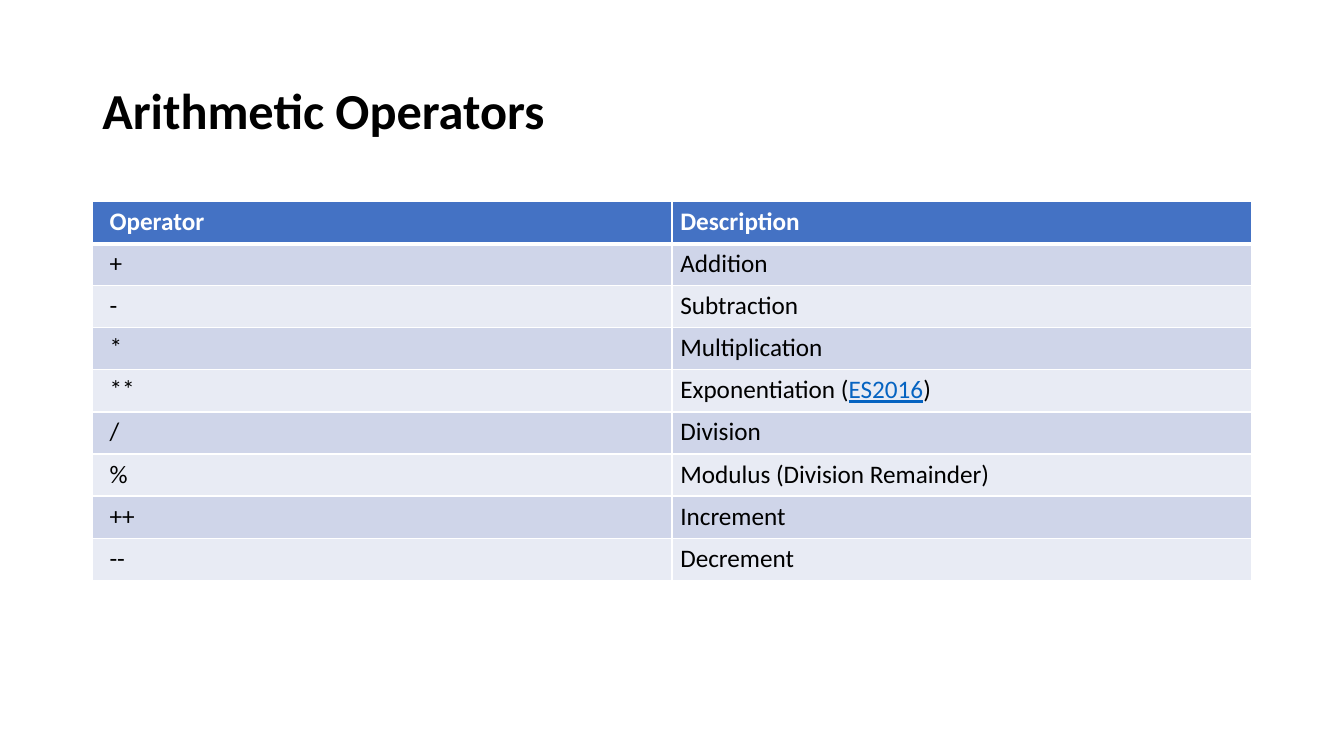
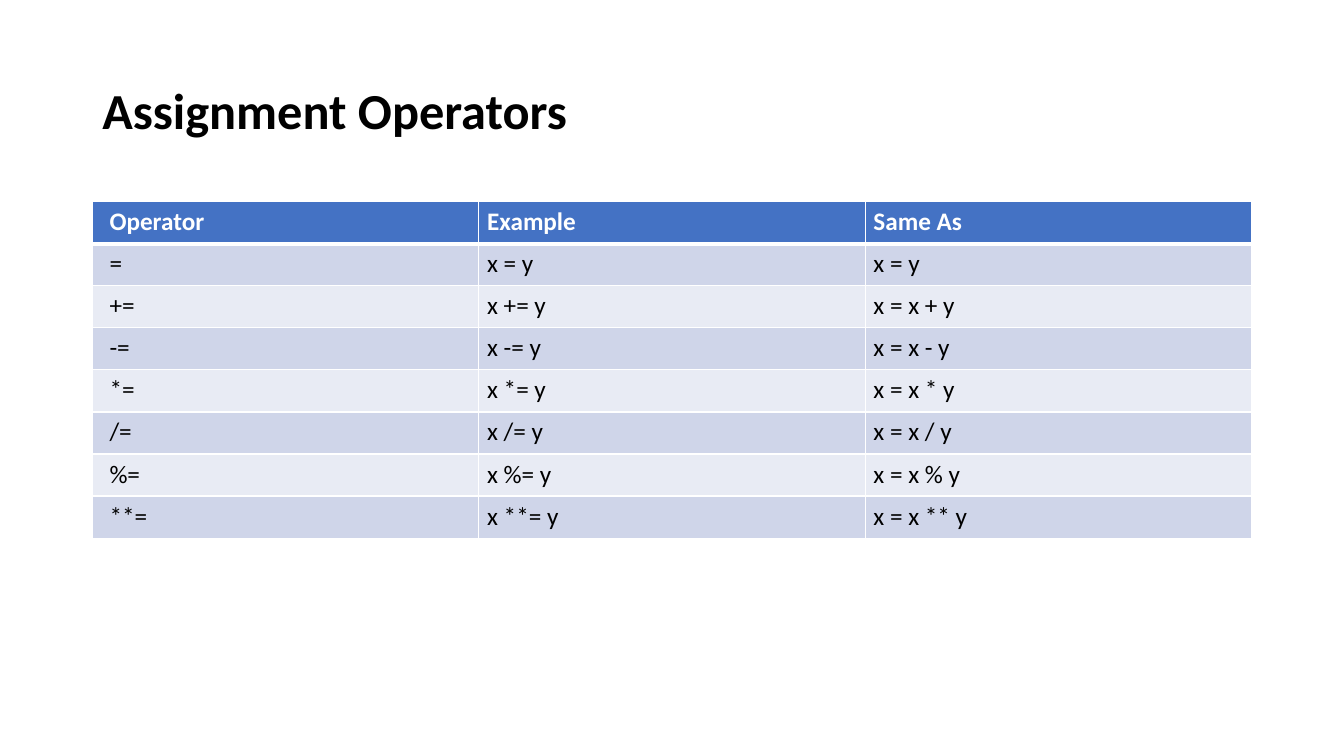
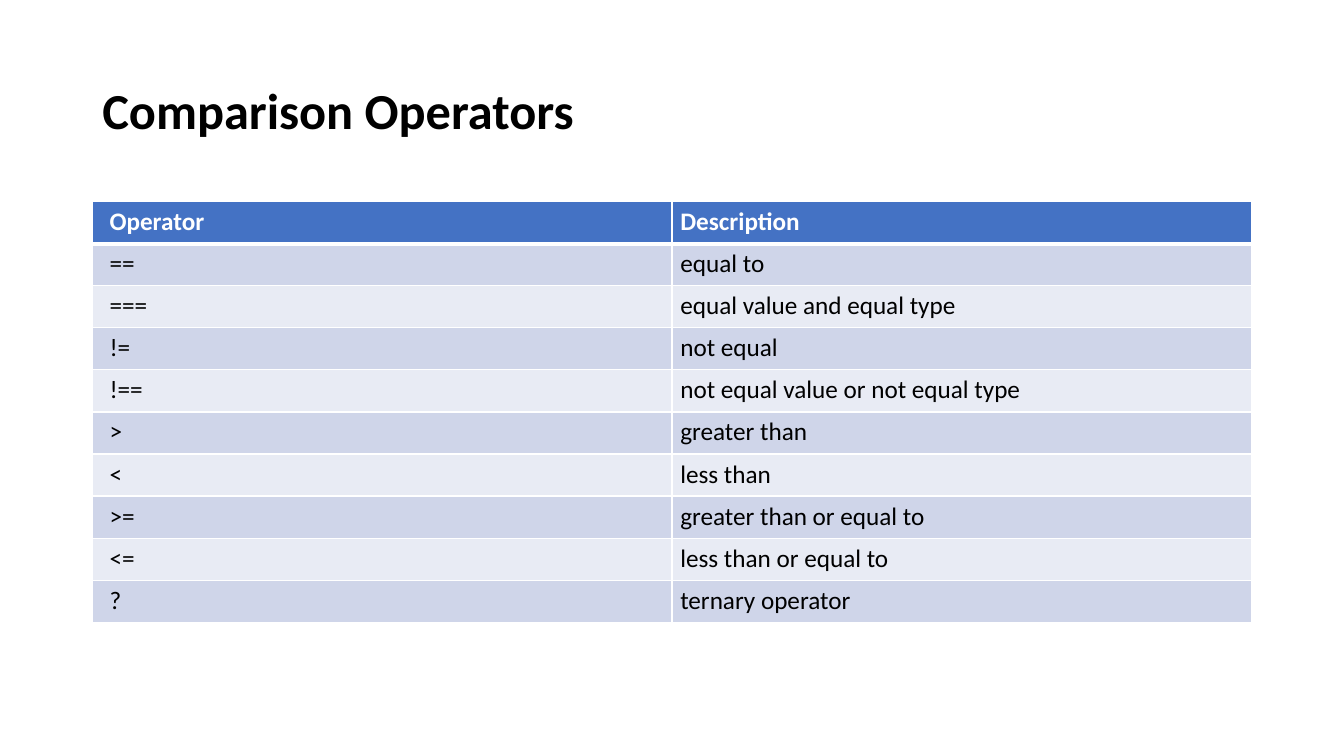
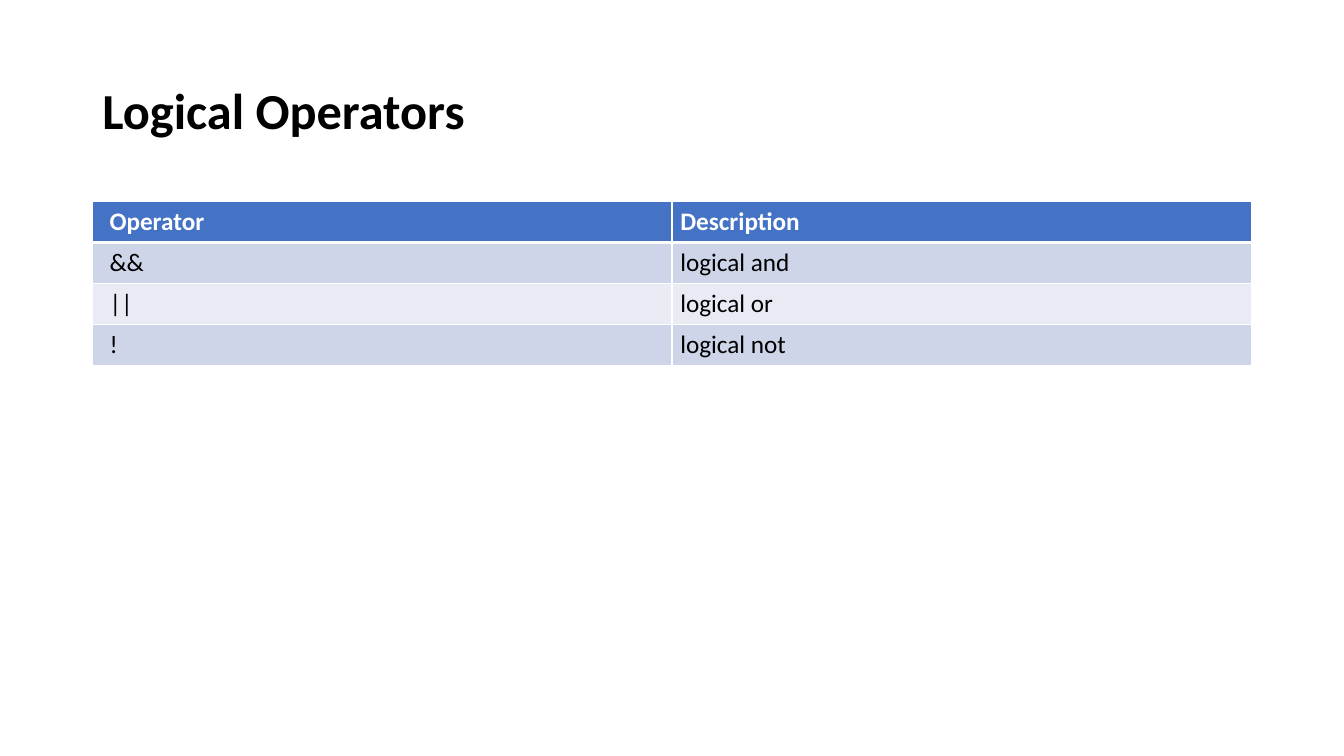
from lxml.etree import SubElement
from pptx import Presentation
from pptx.dml.color import RGBColor
from pptx.enum.text import MSO_ANCHOR
from pptx.oxml.ns import qn
from pptx.util import Cm, Pt

# Colours
BLACK = RGBColor(0x00, 0x00, 0x00)
WHITE = RGBColor(0xFF, 0xFF, 0xFF)
HEADER = RGBColor(0x44, 0x72, 0xC4)
BANDS = (RGBColor(0xE8, 0xEB, 0xF4), RGBColor(0xCF, 0xD5, 0xE9))
LINK = RGBColor(0x05, 0x63, 0xC1)

# Text formats
TITLE_TEXT = {"name": "Calibri", "size": Pt(36), "bold": True, "color": BLACK}
BODY_TEXT = {"name": "Calibri", "size": Pt(18), "bold": False, "color": BLACK}
HEADER_TEXT = {**BODY_TEXT, "bold": True, "color": WHITE}
LINK_TEXT = {"underline": True, "color": LINK}

# Shared grid
LEFT, WIDTH = Cm(2.33), Cm(29.21)
TITLE_TOP, TITLE_HEIGHT = Cm(1.01), Cm(3.68)
TABLE_TOP = Cm(5.08)
FIRST_INSET, INSET = Cm(0.43), Cm(0.21)
THIN, THICK = Pt(0.96), Pt(3)


class Deck:
    """Holds the shared style and the current slide."""

    def __init__(self):
        self.prs = Presentation()
        self.prs.slide_width, self.prs.slide_height = Cm(33.87), Cm(19.05)
        self.s = None

    def slide(self, title):
        self.s = self.prs.slides.add_slide(self.prs.slide_layouts[6])
        self.title(title)

    def run(self, p, text, fmt):
        r = p.add_run()
        r.text = text
        for key, value in fmt.items():
            if key == "color":
                r.font.color.rgb = value
            else:
                setattr(r.font, key, value)

    def title(self, text):
        tf = self.s.shapes.add_textbox(LEFT, TITLE_TOP, WIDTH, TITLE_HEIGHT).text_frame
        tf.word_wrap = True
        tf.vertical_anchor = MSO_ANCHOR.MIDDLE
        p = tf.paragraphs[0]
        p.line_spacing = 0.9
        self.run(p, text, TITLE_TEXT)

    def borders(self, cell, top, bottom):
        tcPr = cell._tc.get_or_add_tcPr()
        for side, width in (("L", THIN), ("R", THIN), ("T", top), ("B", bottom)):
            ln = SubElement(tcPr, qn(f"a:ln{side}"), w=str(int(width)))
            fill = SubElement(ln, qn("a:solidFill"))
            SubElement(fill, qn("a:srgbClr"), val=str(WHITE))

    def cell(self, cell, content, row, col):
        """Content is a string, or a list of (text, extra format) pairs."""
        self.borders(cell, THICK if row == 1 else THIN, THICK if row == 0 else THIN)
        cell.fill.solid()
        cell.fill.fore_color.rgb = BANDS[row % 2] if row else HEADER
        cell.margin_left = INSET if col else FIRST_INSET
        cell.margin_right = INSET
        runs = [(content, {})] if isinstance(content, str) else content
        base = BODY_TEXT if row else HEADER_TEXT
        for text, extra in runs:
            self.run(cell.text_frame.paragraphs[0], text, {**base, **extra})

    def table(self, rows, row_height):
        table = self.s.shapes.add_table(len(rows), len(rows[0]), LEFT, TABLE_TOP,
                                        WIDTH, row_height * len(rows)).table
        for i, row in enumerate(rows):
            for j, content in enumerate(row):
                self.cell(table.cell(i, j), content, i, j)


# Slide contents: title, row height, table rows
SLIDES = [
    ("Arithmetic Operators", Cm(1.06), [
        ("Operator", "Description"),
        ("+", "Addition"),
        ("-", "Subtraction"),
        ("*", "Multiplication"),
        ("**", [("Exponentiation (", {}), ("ES2016", LINK_TEXT), (")", {})]),
        ("/", "Division"),
        ("%", "Modulus (Division Remainder)"),
        ("++", "Increment"),
        ("--", "Decrement"),
    ]),
    ("Assignment Operators", Cm(1.06), [
        ("Operator", "Example", "Same As"),
        ("=", "x = y", "x = y"),
        *((f"{op}=", f"x {op}= y", f"x = x {op} y")
          for op in ("+", "-", "*", "/", "%", "**")),
    ]),
    ("Comparison Operators", Cm(1.06), [
        ("Operator", "Description"),
        ("==", "equal to"),
        ("===", "equal value and equal type"),
        ("!=", "not equal"),
        ("!==", "not equal value or not equal type"),
        (">", "greater than"),
        ("<", "less than"),
        (">=", "greater than or equal to"),
        ("<=", "less than or equal to"),
        ("?", "ternary operator"),
    ]),
    ("Logical Operators", Cm(1.03), [
        ("Operator", "Description"),
        ("&&", "logical and"),
        ("||", "logical or"),
        ("!", "logical not"),
    ]),
]


def main():
    deck = Deck()
    for title, row_height, rows in SLIDES:
        deck.slide(title)
        deck.table(rows, row_height)
    deck.prs.save("out.pptx")


if __name__ == "__main__":
    main()
